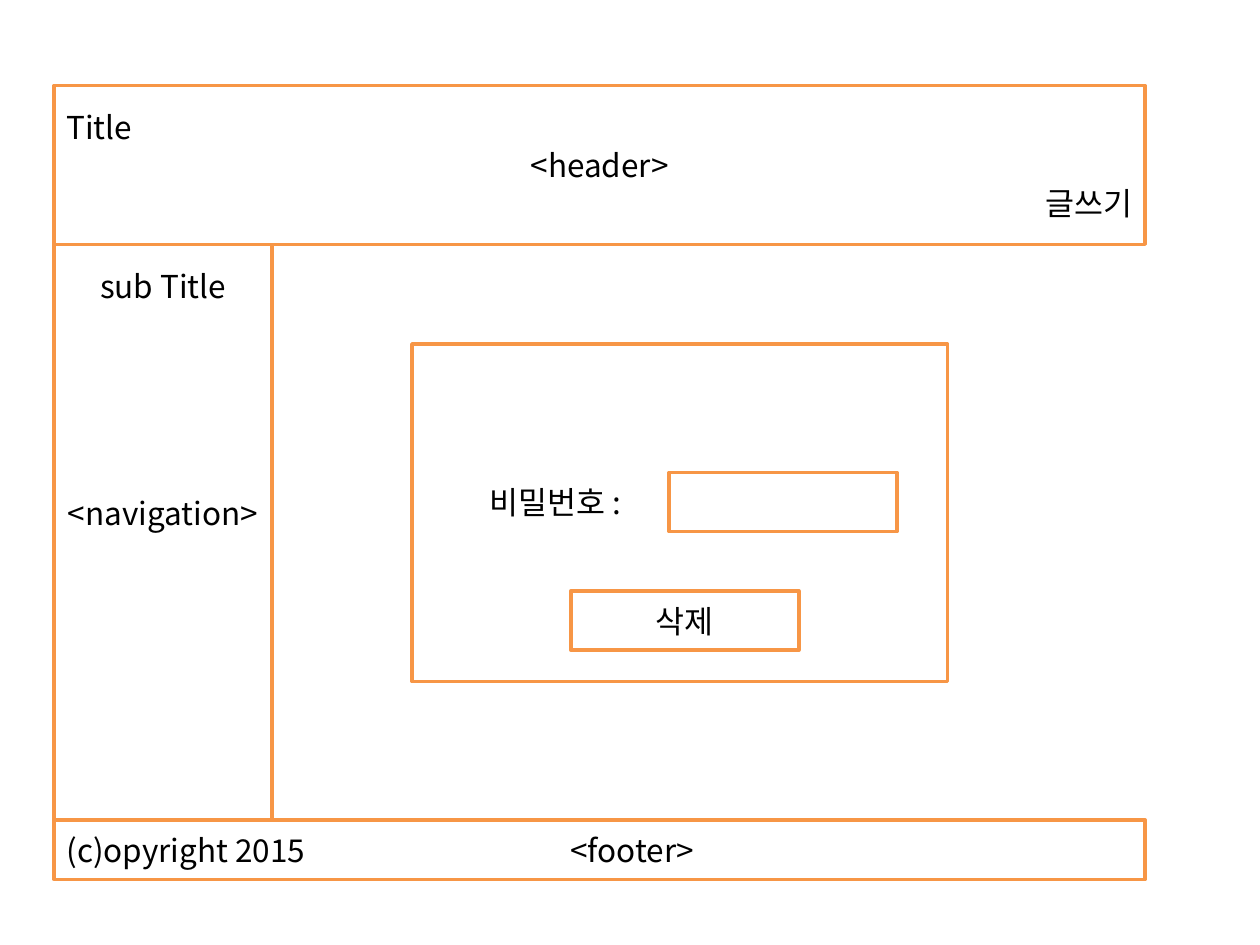
from lxml.etree import SubElement
from pptx import Presentation
from pptx.dml.color import RGBColor
from pptx.enum.shapes import MSO_SHAPE as SHAPE
from pptx.enum.text import MSO_ANCHOR as ANCHOR, PP_ALIGN as ALIGN
from pptx.oxml.ns import qn
from pptx.util import Inches, Pt

FONT = "Noto Sans CJK KR"
ORANGE, WHITE, BLACK = "F79646", "FFFFFF", "000000"


def color(value):
    return RGBColor.from_string(value)


def add_box(s, x, y, w, h, lines=(), border=True):
    sp = s.shapes.add_shape(SHAPE.RECTANGLE, Inches(x), Inches(y), Inches(w), Inches(h))
    sp.shadow.inherit = False
    sp.fill.solid()
    sp.fill.fore_color.rgb = color(WHITE)
    if border:
        sp.line.color.rgb = color(ORANGE)
        sp.line.width = Pt(2)
    else:
        sp.line.fill.background()
    tf = sp.text_frame
    tf.word_wrap = True
    tf.vertical_anchor = ANCHOR.MIDDLE
    tf.text = "\n".join(text for text, _ in lines)
    for p, (_, align) in zip(tf.paragraphs, lines):
        p.alignment = align
        for r in p.runs:
            r.font.size = Pt(18)
            r.font.name = FONT
            r.font.color.rgb = color(BLACK)
            SubElement(r.font._element, qn("a:ea"), typeface=FONT)
    return tf


def add_header(s, x, y, w, h):
    add_box(s, x, y, w, h, [("Title", ALIGN.LEFT), ("<header>", ALIGN.CENTER),
                            ("글쓰기", ALIGN.RIGHT)])


def add_navigation(s, x, y, w, h):
    tf = add_box(s, x, y, w, h, [("sub Title", ALIGN.CENTER),
                                 ("<navigation>", ALIGN.CENTER)])
    tf.vertical_anchor = ANCHOR.TOP
    tf.margin_top = Inches(0.18)
    tf.paragraphs[1].space_before = Pt(108)


def add_footer(s, x, y, w, h):
    tf = add_box(s, x, y, w, h, [("(c)opyright 2015\t<footer>", ALIGN.LEFT)])
    tabs = SubElement(tf.paragraphs[0]._p.get_or_add_pPr(), qn("a:tabLst"))
    SubElement(tabs, qn("a:tab"), pos=str(Inches(4)), algn="l")


def add_delete_form(s, x, y, w, h):
    field_w, field_h = 1.81, 0.47
    add_box(s, x, y, w, h)
    add_box(s, x + 0.47, y + 1.02, 1.34, field_h, [("비밀번호 :", ALIGN.CENTER)], border=False)
    add_box(s, x + 2.04, y + 1.02, field_w, field_h)
    add_box(s, x + 1.26, y + 1.96, field_w, field_h, [("삭제", ALIGN.CENTER)])


def main():
    prs = Presentation()
    prs.slide_width, prs.slide_height = Inches(10), Inches(7.5)
    s = prs.slides.add_slide(prs.slide_layouts[6])
    left, top, width = 0.43, 0.68, 8.66
    header_h, nav_h, footer_h = 1.26, 4.57, 0.47
    nav_top = top + header_h
    add_header(s, left, top, width, header_h)
    add_navigation(s, left, nav_top, 1.73, nav_h)
    add_footer(s, left, nav_top + nav_h, width, footer_h)
    add_delete_form(s, 3.27, 2.73, 4.25, 2.68)
    prs.save("out.pptx")


if __name__ == "__main__":
    main()
